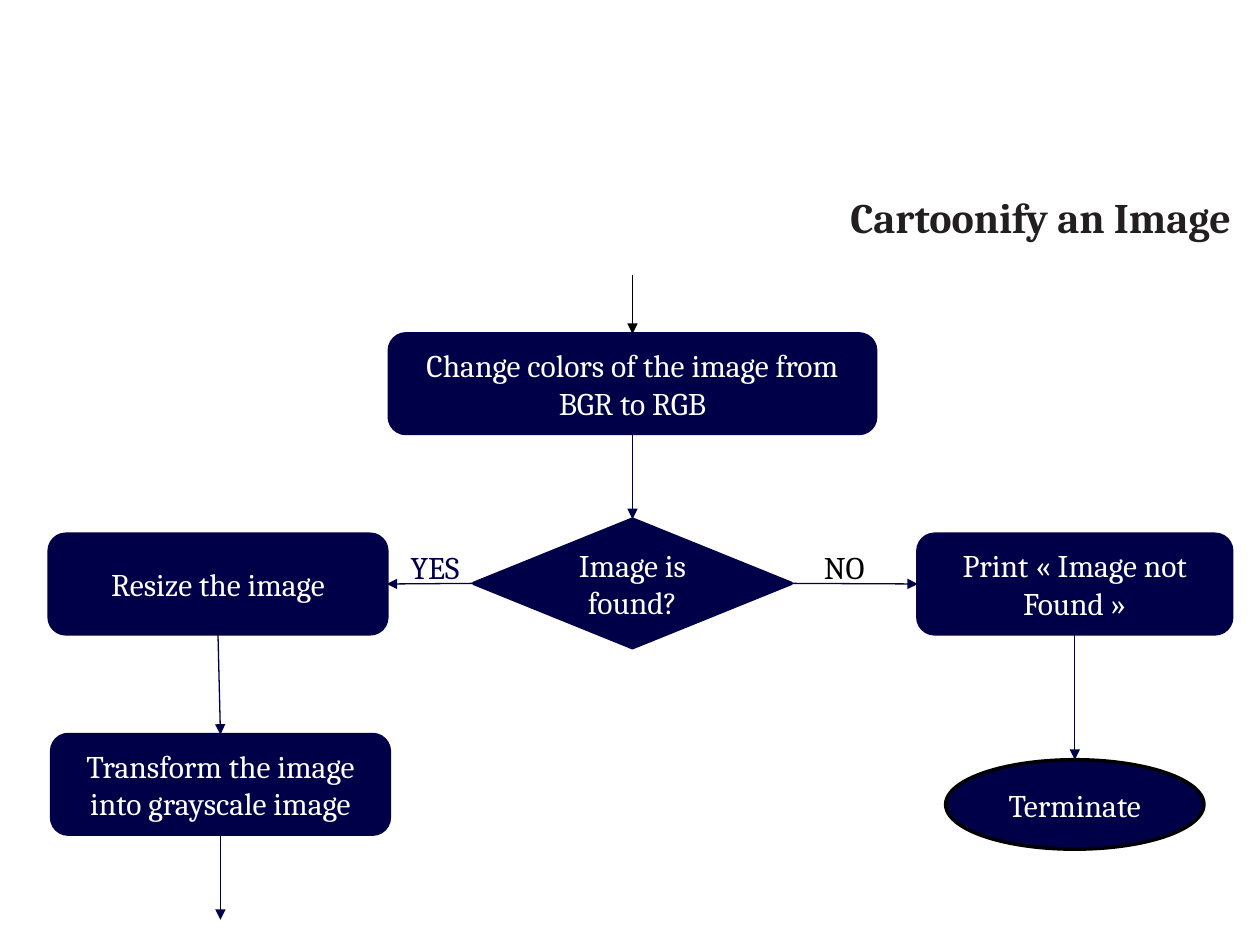
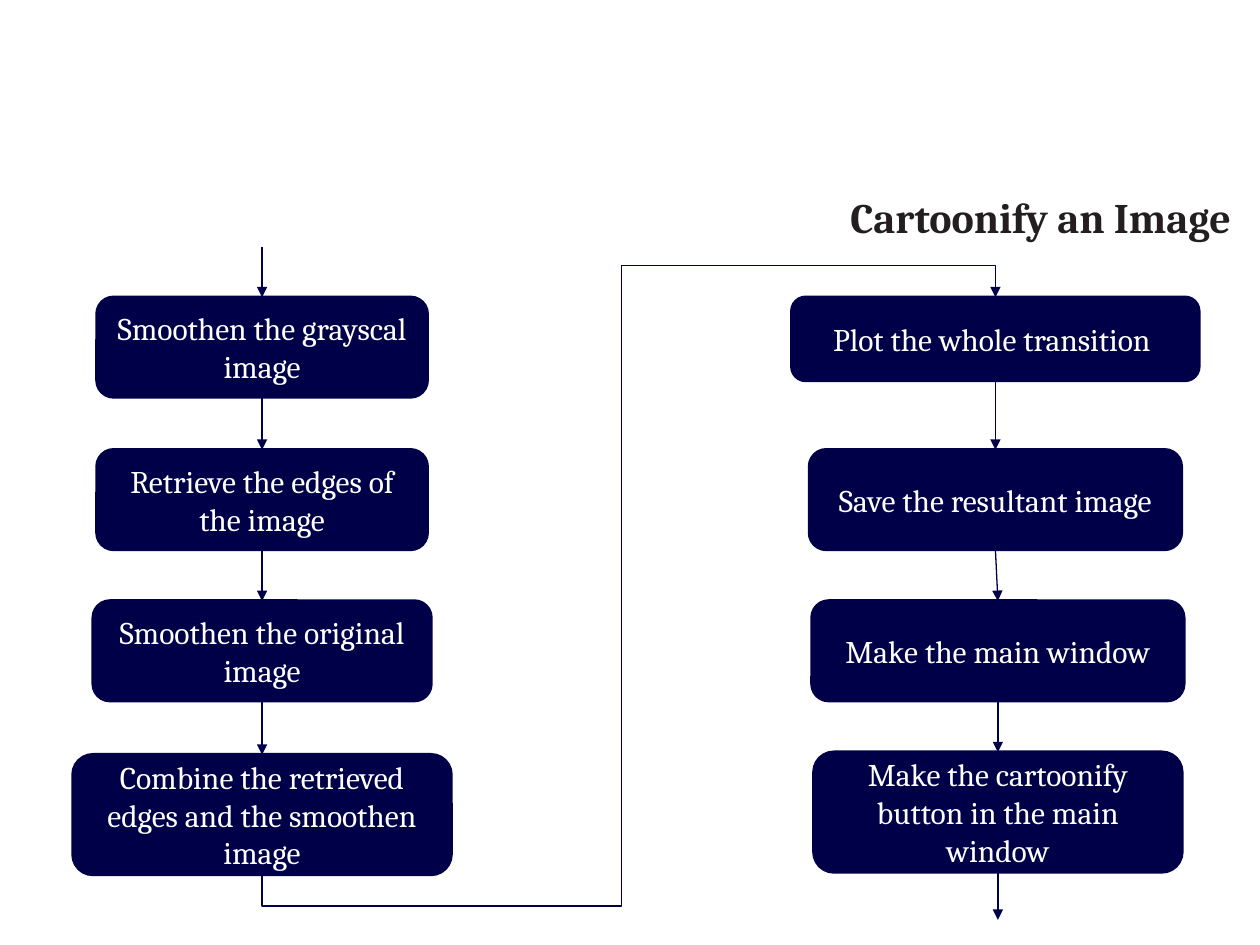
from dataclasses import dataclass
from itertools import pairwise

import pptx
import pptx.dml.color
import pptx.enum.shapes
import pptx.enum.text
import pptx.oxml
import pptx.oxml.ns
import pptx.util
from pptx.util import Inches

COLORS = {"navy": "000048", "black": "000000", "white": "FFFFFF", "title": "231F20"}
FONT = "Cambria"
STEP = pptx.enum.shapes.MSO_SHAPE.ROUNDED_RECTANGLE
DECISION = pptx.enum.shapes.MSO_SHAPE.FLOWCHART_DECISION
TERMINAL = pptx.enum.shapes.MSO_SHAPE.OVAL
CONNECTOR = pptx.enum.shapes.MSO_CONNECTOR
TOP, LEFT, BOTTOM, RIGHT = range(4)  # connection sites


@dataclass
class Node:
    text: str
    center: float
    top: float
    width: float
    height: float = 0.79
    kind: pptx.enum.shapes.MSO_SHAPE = STEP
    outline: str = "navy"


@dataclass
class Label:
    text: str
    left: float
    top: float
    width: float
    height: float
    color: str
    size: int = 18
    bold: bool = False
    wrap: bool = True


TITLE = Label("Cartoonify an Image", 6.65, 1.47, 3.45, 0.5, "title", 24, True, False)


def rgb(name: str) -> pptx.dml.color.RGBColor:
    return pptx.dml.color.RGBColor.from_string(COLORS[name])


def style_font(paragraph, size: int, color: str, bold: bool = False) -> None:
    font = paragraph.font
    font.name, font.size, font.bold = FONT, pptx.util.Pt(size), bold
    font.color.rgb = rgb(color)


def add_label(slide, label: Label) -> None:
    box = slide.shapes.add_textbox(
        Inches(label.left), Inches(label.top), Inches(label.width), Inches(label.height)
    )
    frame = box.text_frame
    frame.word_wrap = label.wrap
    frame.auto_size = pptx.enum.text.MSO_AUTO_SIZE.SHAPE_TO_FIT_TEXT
    frame.text = label.text
    style_font(frame.paragraphs[0], label.size, label.color, label.bold)


def add_node(slide, node: Node):
    shape = slide.shapes.add_shape(
        node.kind, Inches(node.center - node.width / 2), Inches(node.top),
        Inches(node.width), Inches(node.height),
    )
    shape.shadow.inherit = False
    shape.fill.solid()
    shape.fill.fore_color.rgb = rgb("navy")
    shape.line.color.rgb = rgb(node.outline)
    shape.line.width = pptx.util.Pt(2)
    frame = shape.text_frame
    frame.word_wrap = True
    frame.vertical_anchor = pptx.enum.text.MSO_ANCHOR.MIDDLE
    frame.text = node.text
    paragraph = frame.paragraphs[0]
    paragraph.alignment = pptx.enum.text.PP_ALIGN.CENTER
    style_font(paragraph, 18, "white")
    return shape


def add_arrow(slide, start=None, end=None, exit_site: int = BOTTOM, entry_site: int = TOP,
              stub: float = 0, color: str = "navy", kind=CONNECTOR.STRAIGHT):
    """Join two shapes; with one of them missing, draw a vertical stub at the other."""
    if start is None:
        x, y = end.left + end.width // 2, end.top - Inches(stub)
    else:
        x, y = start.left + start.width // 2, start.top + start.height
    connector = slide.shapes.add_connector(kind, x, y, x, y + Inches(stub))
    if start is not None:
        connector.begin_connect(start, exit_site)
    if end is not None:
        connector.end_connect(end, entry_site)
    connector.line.color.rgb = rgb(color)
    connector.line.width = pptx.util.Pt(0.75)
    namespace = pptx.oxml.ns.nsdecls("a")
    line = connector.line._get_or_add_ln()
    line.append(pptx.oxml.parse_xml(f'<a:tailEnd {namespace} type="triangle"/>'))
    connector._element.spPr.append(pptx.oxml.parse_xml(f"<a:effectLst {namespace}/>"))
    return connector


def add_return_arrow(slide, start, end) -> None:
    """Leave the foot of one column, pass between the columns, enter the next from above."""
    connector = add_arrow(slide, start, end, kind=CONNECTOR.ELBOW)
    width, height = connector.width, connector.height
    shift = (width - height) // 2
    connector.left, connector.top = connector.left + shift, connector.top - shift
    connector.width, connector.height = height, width
    properties = connector._element.spPr
    transform = properties.find(pptx.oxml.ns.qn("a:xfrm"))
    for name, value in (("rot", "5400000"), ("flipH", "1"), ("flipV", "1")):
        transform.set(name, value)
    geometry = properties.find(pptx.oxml.ns.qn("a:prstGeom"))
    geometry.set("prst", "bentConnector5")
    for child in list(geometry):
        geometry.remove(child)
    guides = "".join(
        f'<a:gd name="adj{number}" fmla="val {value}"/>'
        for number, value in enumerate((-5500, 49000, 105500), 1)
    )
    geometry.append(
        pptx.oxml.parse_xml(f'<a:avLst {pptx.oxml.ns.nsdecls("a")}>{guides}</a:avLst>')
    )


def add_column(slide, nodes: list[Node]) -> list:
    """Draw nodes from top to bottom with an arrow between neighbours."""
    shapes = [add_node(slide, node) for node in nodes]
    for upper, lower in pairwise(shapes):
        add_arrow(slide, upper, lower)
    return shapes


def add_titled_slide(presentation):
    slide = presentation.slides.add_slide(presentation.slide_layouts[6])
    add_label(slide, TITLE)
    return slide


def build_decision_slide(presentation) -> None:
    slide = add_titled_slide(presentation)
    convert, found = add_column(slide, [
        Node("Change colors of the image from BGR to RGB", 5.02, 2.65, 3.86),
        Node("Image is found?", 5.02, 4.12, 2.52, 1.02, DECISION),
    ])
    resize, grayscale = add_column(slide, [
        Node("Resize the image", 1.73, 4.24, 2.68),
        Node("Transform the image into grayscale image", 1.75, 5.83, 2.68),
    ])
    not_found, _ = add_column(slide, [
        Node("Print « Image not Found »", 8.53, 4.24, 2.49),
        Node("Terminate", 8.53, 6.03, 2.05, 0.71, TERMINAL, "black"),
    ])
    add_arrow(slide, end=convert, stub=0.47, color="black")
    add_arrow(slide, found, not_found, RIGHT, LEFT)
    add_arrow(slide, found, resize, LEFT, RIGHT)
    add_arrow(slide, start=grayscale, stub=0.68)
    add_label(slide, Label("NO", 6.44, 4.3, 0.92, 0.4, "black"))
    add_label(slide, Label("YES", 3.16, 4.3, 0.75, 0.4, "navy"))


def build_processing_slide(presentation) -> None:
    slide = add_titled_slide(presentation)
    image_steps = add_column(slide, [
        Node("Smoothen the grayscal image", 2.08, 2.36, 2.62),
        Node("Retrieve the edges of the image", 2.08, 3.57, 2.62),
        Node("Smoothen the original image", 2.08, 4.77, 2.68),
        Node("Combine the retrieved edges and the smoothen image", 2.08, 5.99, 3, 0.95),
    ])
    window_steps = add_column(slide, [
        Node("Plot the whole transition ", 7.9, 2.36, 3.23, 0.66),
        Node("Save the resultant image", 7.9, 3.57, 2.95),
        Node("Make the main window", 7.92, 4.77, 2.95),
        Node("Make the cartoonify button in the main window", 7.92, 5.97, 2.92, 0.95),
    ])
    add_arrow(slide, end=image_steps[0], stub=0.4)
    add_return_arrow(slide, image_steps[-1], window_steps[0])
    add_arrow(slide, start=window_steps[-1], stub=0.38)


def main() -> None:
    presentation = pptx.Presentation()
    presentation.slide_width, presentation.slide_height = Inches(10), Inches(7.5)
    build_decision_slide(presentation)
    build_processing_slide(presentation)
    presentation.save("out.pptx")


if __name__ == "__main__":
    main()
